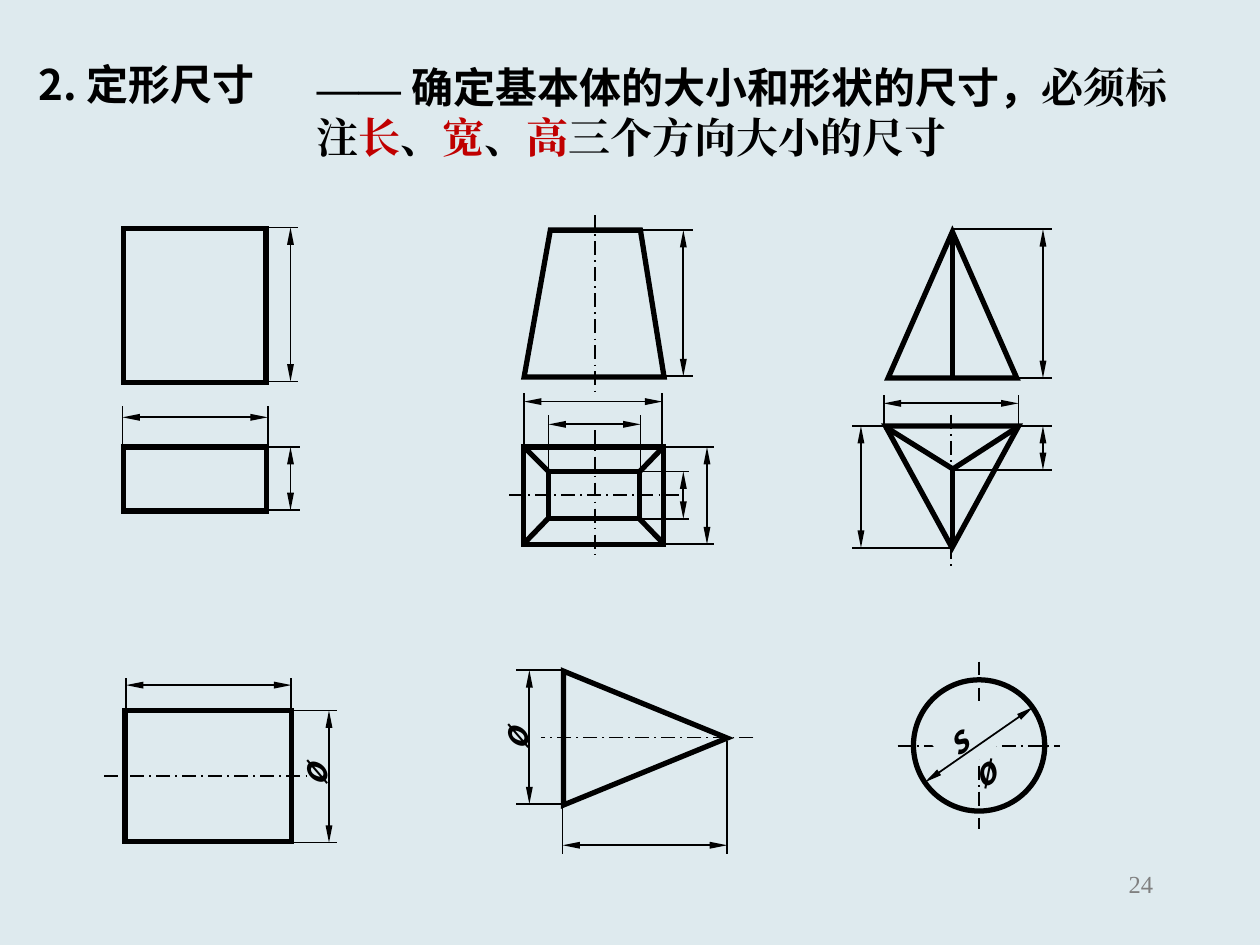
from dataclasses import dataclass
from typing import NamedTuple

from lxml import etree
from pptx import Presentation
from pptx.dml.color import RGBColor
from pptx.enum.dml import MSO_LINE
from pptx.enum.shapes import MSO_CONNECTOR, MSO_SHAPE
from pptx.enum.text import MSO_ANCHOR, PP_ALIGN
from pptx.oxml.ns import qn
from pptx.util import Pt

STRAIGHT = MSO_CONNECTOR.STRAIGHT
DASH_DOT = MSO_LINE.LONG_DASH_DOT
RECTANGLE, TRIANGLE, OVAL = MSO_SHAPE.RECTANGLE, MSO_SHAPE.ISOSCELES_TRIANGLE, MSO_SHAPE.OVAL
LEFT, RIGHT = PP_ALIGN.LEFT, PP_ALIGN.RIGHT
TOP = MSO_ANCHOR.TOP


@dataclass(frozen=True)
class Theme:
    background: RGBColor = RGBColor(0xDE, 0xEA, 0xEE)
    ink: RGBColor = RGBColor(0, 0, 0)
    accent: RGBColor = RGBColor(0xC0, 0, 0)
    muted: RGBColor = RGBColor(0x80, 0x80, 0x80)
    sans: str = "Noto Sans CJK SC"
    serif: str = "Times New Roman"
    title_size: float = 24
    symbol_size: float = 20
    number_size: float = 14
    thick: float = 3
    thin: float = 1
    leading: float = 1.2


THEME = Theme()


class Outline(NamedTuple):
    kind: int
    left: float
    top: float
    width: float
    height: float
    rotation: float = 0


class Segment(NamedTuple):
    x1: float
    y1: float
    x2: float
    y2: float


class Dimension(NamedTuple):
    """Arrow at `at` between start and end; extension lines run from the feet to reach."""
    at: float
    start: float
    end: float
    start_foot: float
    end_foot: float
    reach: float


class Span(NamedTuple):
    text: str
    font: str = THEME.sans
    color: RGBColor = THEME.ink


class TextBox(NamedTuple):
    left: float
    top: float
    width: float
    height: float
    spans: list[Span]
    size: float
    wrap: bool = True
    align: int = LEFT
    rotation: float = 0
    bold: bool = True
    italic: bool = False


OUTLINES = [
    Outline(RECTANGLE, 70.5, 130.5, 81.5, 88),            # box, front
    Outline(RECTANGLE, 70.5, 255.5, 82, 36.5),            # box, plan
    Outline(RECTANGLE, 299, 255.5, 80, 55.5),             # frustum base, plan
    Outline(RECTANGLE, 313.5, 269.5, 52, 27),             # frustum top, plan
    Outline(TRIANGLE, 507.5, 132.5, 73.5, 83.5),          # pyramid, front
    Outline(TRIANGLE, 506, 243.5, 76, 69.5, 180),         # pyramid, plan
    Outline(RECTANGLE, 71.5, 406, 95, 75),                # cylinder
    Outline(TRIANGLE, 330.5, 375, 76.5, 93.5, 90),        # cone
    Outline(OVAL, 522, 388.5, 75, 75),                    # sphere
]
FRUSTUM_FRONT = [(314.5, 131.5), (366, 131.5), (379.5, 215.5), (299.5, 215.5)]
EDGES = [
    Segment(313.5, 269.5, 300, 256), Segment(313.5, 296, 299, 311),
    Segment(365, 296, 379, 310.5), Segment(365.5, 269.5, 379, 255.5),
    Segment(506, 244, 544.5, 268), Segment(544.5, 268, 580, 245),
    Segment(544.5, 268, 544.5, 313), Segment(544.5, 133, 544.5, 216),
]
CENTER_LINES = [
    Segment(340, 123, 340, 224.5), Segment(340, 246, 340, 319.5),
    Segment(291, 283, 388, 283), Segment(543.5, 237, 543.5, 324),
    Segment(59.5, 443.5, 178.5, 443.5), Segment(430.5, 421.5, 309, 421.5),
    Segment(513, 426.5, 605.5, 426.5), Segment(559.5, 378, 559.5, 474),
]
WIDTHS = [
    Dimension(238.5, 70, 153, 255, 255, 232),             # box
    Dimension(242.5, 313.5, 366, 267.5, 267.5, 237),      # frustum top
    Dimension(229.5, 299.5, 378.5, 255, 255, 224.5),      # frustum base
    Dimension(230.5, 505, 582, 243.5, 243.5, 226),        # pyramid
    Dimension(391.5, 72, 166.5, 404.5, 404.5, 387.5),     # cylinder
    Dimension(483, 321.5, 415.5, 462, 423.5, 488),        # cone
]
HEIGHTS = [
    Dimension(166, 130, 218, 152.5, 152.5, 170.5),        # box, front
    Dimension(166, 255.5, 291.5, 153, 153, 171.5),        # box, plan
    Dimension(390.5, 131.5, 215, 366.5, 379.5, 396),      # frustum, front
    Dimension(390.5, 269.5, 296.5, 366, 366, 393.5),      # frustum top, plan
    Dimension(404, 255.5, 311, 379.5, 379.5, 408),        # frustum base, plan
    Dimension(596, 131, 216, 544.5, 582, 601),            # pyramid, front
    Dimension(596, 243.5, 268.5, 581, 545, 601),          # pyramid apex, plan
    Dimension(492, 243.5, 313, 505.5, 543.5, 487),        # pyramid, plan
    Dimension(188, 406, 481.5, 167.5, 167.5, 192.5),      # cylinder
    Dimension(302.5, 383, 459.5, 320.5, 320.5, 295),      # cone
]
SPHERE_MASK = Outline(RECTANGLE, 533.5, 404.5, 35.5, 32, 322.1)
SPHERE_DIAMETER = Segment(528.5, 447, 590.5, 404)

DEFINITION = [
    Span("—— ", THEME.serif), Span("确定基本体的大小和形状的尺寸，"),
    Span("必须标注", THEME.serif),
    Span("长", THEME.serif, THEME.accent), Span("、", THEME.serif),
    Span("宽", THEME.serif, THEME.accent), Span("、", THEME.serif),
    Span("高", THEME.serif, THEME.accent), Span("三个方向大小的尺寸", THEME.serif),
]
TEXTS = [
    TextBox(15, 30, 692, 36, [Span("2. 定形尺寸")], THEME.title_size),
    TextBox(174, 31.5, 505.5, 65, DEFINITION, THEME.title_size),
    TextBox(516, 493, 150, 36, [Span("24", THEME.serif, THEME.muted)],
            THEME.number_size, align=RIGHT, bold=False),
] + [
    TextBox(left, top, 26, 31.5, [Span("ø")], THEME.symbol_size,
            wrap=False, rotation=270, italic=True)
    for left, top in ((166.5, 427.5), (281, 407))
]


def style_outline(shape) -> None:
    shape.shadow.inherit = False
    shape.fill.background()
    shape.line.color.rgb = THEME.ink
    shape.line.width = Pt(THEME.thick)
    etree.SubElement(shape.line._get_or_add_ln(), qn("a:miter"), lim="800000")


def draw_outline(slide, outline: Outline):
    shape = slide.shapes.add_shape(outline.kind, *map(Pt, outline[1:5]))
    shape.rotation = outline.rotation
    style_outline(shape)
    return shape


def draw_line(slide, segment: Segment, width: float = THEME.thin,
              dash=None, arrows: bool = False) -> None:
    line = slide.shapes.add_connector(STRAIGHT, *map(Pt, segment))
    line.line.color.rgb = THEME.ink
    line.line.width = Pt(width)
    if dash is not None:
        line.line.dash_style = dash
    if arrows:
        for end in ("a:headEnd", "a:tailEnd"):
            etree.SubElement(line.line._get_or_add_ln(), qn(end),
                             type="triangle", w="sm", len="lg")
    etree.SubElement(line._element.spPr, qn("a:effectLst"))


def draw_dimension(slide, dimension: Dimension, vertical: bool) -> None:
    at, start, end, start_foot, end_foot, reach = dimension
    extensions = [Segment(start, start_foot, start, reach), Segment(end, end_foot, end, reach)]
    arrow = Segment(start, at, end, at)
    for segment in [*extensions, arrow]:
        x1, y1, x2, y2 = segment
        placed = Segment(y1, x1, y2, x2) if vertical else segment
        draw_line(slide, placed, arrows=segment is arrow)


def write_text(shape, text: TextBox) -> None:
    frame = shape.text_frame
    frame.word_wrap = text.wrap
    frame.vertical_anchor = TOP
    para = frame.paragraphs[0]
    para.alignment = text.align
    para.line_spacing = Pt(round(text.size * THEME.leading, 1))
    for span in text.spans:
        run = para.add_run()
        run.text = span.text
        formats = {"name": span.font, "size": Pt(text.size),
                   "bold": text.bold, "italic": text.italic}
        for name, value in formats.items():
            setattr(run.font, name, value)
        run.font.color.rgb = span.color
        etree.SubElement(run.font._element, qn("a:ea"), typeface=span.font)


def draw_text(slide, text: TextBox) -> None:
    box = slide.shapes.add_textbox(*map(Pt, text[:4]))
    box.rotation = text.rotation
    write_text(box, text)


def draw_sphere_label(slide) -> None:
    """Diameter label on a patch that hides the centre lines behind it."""
    patch = draw_outline(slide, SPHERE_MASK)
    patch.fill.solid()
    patch.fill.fore_color.rgb = THEME.background
    patch.line.fill.background()
    write_text(patch, TextBox(*SPHERE_MASK[1:5], [Span("sø")], THEME.symbol_size, italic=True))
    draw_line(slide, SPHERE_DIAMETER, arrows=True)


def main() -> None:
    deck = Presentation()
    deck.slide_width, deck.slide_height = Pt(720), Pt(540)
    slide = deck.slides.add_slide(deck.slide_layouts[6])
    slide.background.fill.solid()
    slide.background.fill.fore_color.rgb = THEME.background
    for dimension in WIDTHS:
        draw_dimension(slide, dimension, vertical=False)
    for dimension in HEIGHTS:
        draw_dimension(slide, dimension, vertical=True)
    for outline in OUTLINES:
        draw_outline(slide, outline)
    builder = slide.shapes.build_freeform(*map(Pt, FRUSTUM_FRONT[0]), scale=1.0)
    builder.add_line_segments([(Pt(x), Pt(y)) for x, y in FRUSTUM_FRONT[1:]], close=True)
    style_outline(builder.convert_to_shape())
    for edge in EDGES:
        draw_line(slide, edge, THEME.thick)
    for center_line in CENTER_LINES:
        draw_line(slide, center_line, dash=DASH_DOT)
    draw_sphere_label(slide)
    for text in TEXTS:
        draw_text(slide, text)
    deck.save("out.pptx")


if __name__ == "__main__":
    main()
